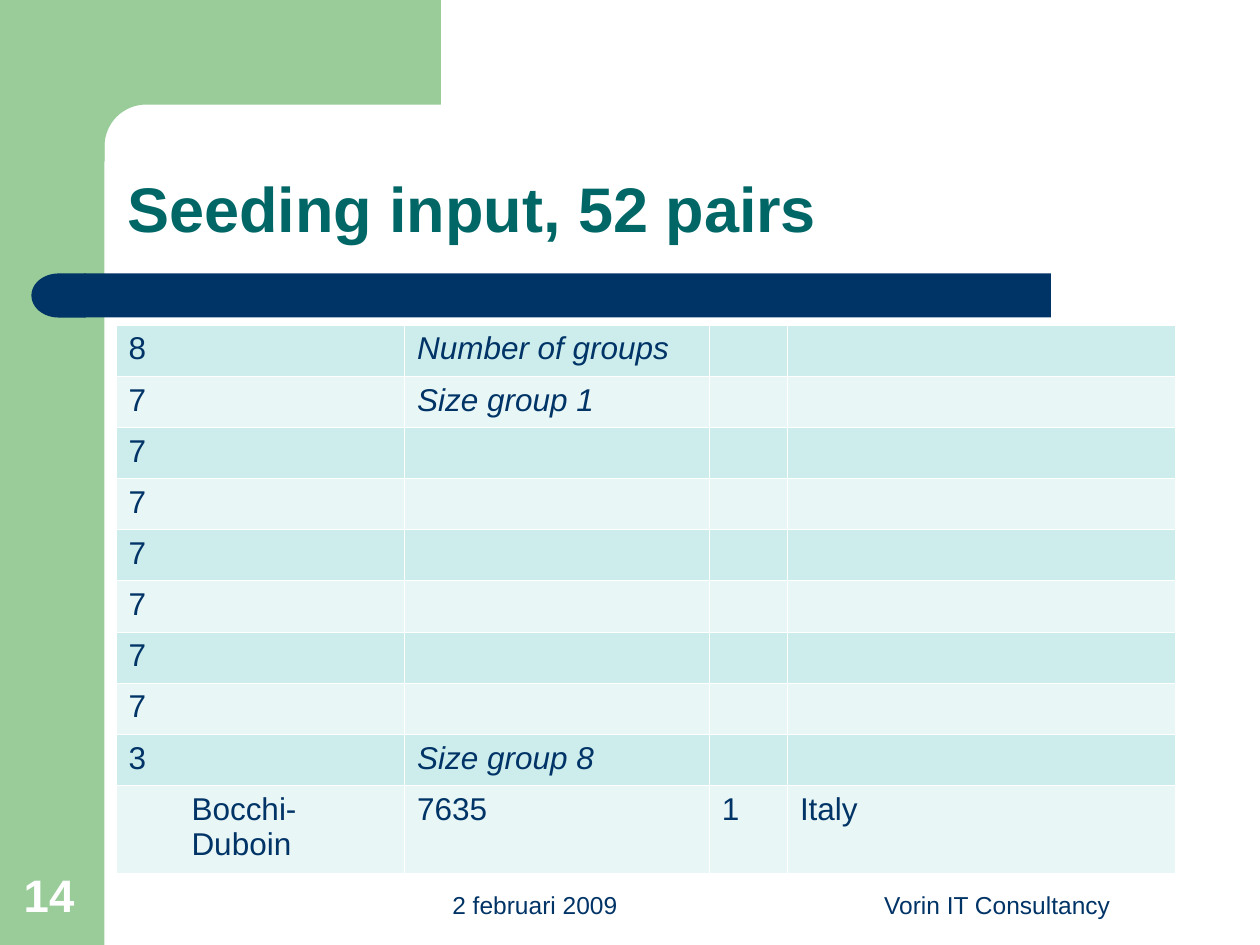
from math import cos, pi, sin

from lxml import etree
from pptx import Presentation
from pptx.dml.color import RGBColor
from pptx.enum.shapes import MSO_SHAPE
from pptx.enum.text import MSO_ANCHOR, MSO_AUTO_SIZE, PP_ALIGN
from pptx.oxml.ns import qn
from pptx.util import Inches, Pt

RECT, DELAY = MSO_SHAPE.RECTANGLE, MSO_SHAPE.FLOWCHART_DELAY
BOTTOM, NO_FIT = MSO_ANCHOR.BOTTOM, MSO_AUTO_SIZE.NONE
LEFT, CENTER, RIGHT = PP_ALIGN.LEFT, PP_ALIGN.CENTER, PP_ALIGN.RIGHT

GREEN = RGBColor(0x99, 0xCC, 0x99)
NAVY = RGBColor(0x00, 0x33, 0x66)
TEAL = RGBColor(0x00, 0x66, 0x66)
WHITE = RGBColor(0xFF, 0xFF, 0xFF)
BANDS = (RGBColor(0xCD, 0xEC, 0xEC), RGBColor(0xE8, 0xF6, 0xF6))
FONT = "Arial"

COLUMN_WIDTHS = (2.29, 2.42, 0.62, 3.08)
ROW_HEIGHTS = (0.406,) * 9 + (0.7,)
ROWS = (
    [("8", "Number of groups"), ("7", "Size group 1")]
    + [("7",)] * 6
    + [("3", "Size group 8"), ("Bocchi-Duboin", "7635", "1", "Italy")]
)


def set_font(p, size, color, bold=False, italic=False):
    f = p.font
    f.name, f.size, f.bold, f.italic = FONT, Pt(size), bold, italic
    f.color.rgb = color


def paint(sp, color):
    sp.shadow.inherit = False
    sp.fill.solid()
    sp.fill.fore_color.rgb = color
    sp.line.fill.background()


def add_block(s, kind, box, color):
    sp = s.shapes.add_shape(kind, *map(Inches, box))
    paint(sp, color)
    return sp


def add_corner(s, left, top, width, height):
    """Top band whose inner corner is a rounded quarter turn."""
    inner_x, inner_y, radius, steps = left + 0.33, top + 0.83, 0.33, 16
    arc = [
        (inner_x + radius * (1 - sin(a)), inner_y + radius * (1 - cos(a)))
        for a in (pi / 2 * i / steps for i in range(steps + 1))
    ]
    right, bottom = left + width, top + height
    points = [(right, top), (right, inner_y), *arc,
              (inner_x, bottom), (left, bottom), (left, top)]
    points = [(Inches(x), Inches(y)) for x, y in points]
    builder = s.shapes.build_freeform(*points[0])
    builder.add_line_segments(points[1:], close=True)
    paint(builder.convert_to_shape(), GREEN)


def add_frame(s):
    # Green side band and corner
    add_block(s, RECT, (0, 0, 0.83, 7.5), GREEN)
    add_corner(s, 0.5, 0, 3, 1.28)
    # Navy bar with a rounded left end
    add_block(s, RECT, (0.67, 2.17, 7.67, 0.35), NAVY)
    cap = add_block(s, DELAY, (0.25, 2.17, 0.43, 0.35), NAVY)
    cap._element.spPr.find(qn("a:xfrm")).set("flipH", "1")


def add_title(s, box, text):
    title = s.shapes.title
    title.left, title.top, title.width, title.height = map(Inches, box)
    tf = title.text_frame
    tf.text = text
    tf.vertical_anchor, tf.auto_size = BOTTOM, NO_FIT
    p = tf.paragraphs[0]
    p.alignment, p.line_spacing = LEFT, 0.9
    set_font(p, 36, TEAL, bold=True)


def set_borders(cell):
    tc_pr = cell._tc.get_or_add_tcPr()
    for i, side in enumerate(("a:lnL", "a:lnR", "a:lnT", "a:lnB")):
        ln = etree.Element(qn(side), w=str(Pt(0.45)))
        fill = etree.SubElement(ln, qn("a:solidFill"))
        etree.SubElement(fill, qn("a:srgbClr"), val=str(WHITE))
        tc_pr.insert(i, ln)


def add_seeding_table(s, box):
    shape = s.shapes.add_table(len(ROWS), len(COLUMN_WIDTHS), *map(Inches, box))
    table = shape.table
    table.first_row = table.horz_banding = False
    for column, width in zip(table.columns, COLUMN_WIDTHS):
        column.width = Inches(width)
    for r, (row, height, values) in enumerate(zip(table.rows, ROW_HEIGHTS, ROWS)):
        row.height = Inches(height)
        for c, cell in enumerate(row.cells):
            cell.fill.solid()
            cell.fill.fore_color.rgb = BANDS[r % 2]
            set_borders(cell)
            p = cell.text_frame.paragraphs[0]
            p.text = values[c] if c < len(values) else ""
            # Labels in the second column are italic, the numbers are not
            set_font(p, 18, NAVY, italic=c == 1 and not p.text.isdigit())
    # The pair name is indented
    pair = table.cell(len(ROWS) - 1, 0).text_frame.paragraphs[0]
    pair.level = 1
    p_pr = pair._p.get_or_add_pPr()
    p_pr.set("marL", str(Inches(0.5)))
    p_pr.set("indent", "0")


def add_footer_text(s, box, text, align, size=14, color=NAVY, bold=False):
    tf = s.shapes.add_textbox(*map(Inches, box)).text_frame
    tf.word_wrap, tf.vertical_anchor = True, BOTTOM
    p = tf.paragraphs[0]
    p.text, p.alignment = text, align
    set_font(p, size, color, bold)


def add_footer(s, top):
    add_footer_text(s, (2.67, top, 2.33, 0.52), "2 februari 2009", RIGHT)
    add_footer_text(s, (6.33, top, 3.17, 0.52), "Vorin IT Consultancy", CENTER)
    add_footer_text(s, (0.09, top, 0.64, 0.53), "14", LEFT, 26, WHITE, True)


def main():
    prs = Presentation()
    prs.slide_width, prs.slide_height = Inches(10), Inches(7.5)
    s = prs.slides.add_slide(prs.slide_layouts[5])
    add_frame(s)
    add_title(s, (0.91, 0.91, 8.51, 1.09), "Seeding input, 52 pairs")
    add_seeding_table(s, (0.92, 2.58, 8.41, 4.35))
    add_footer(s, 6.83)
    prs.save("out.pptx")


if __name__ == "__main__":
    main()
